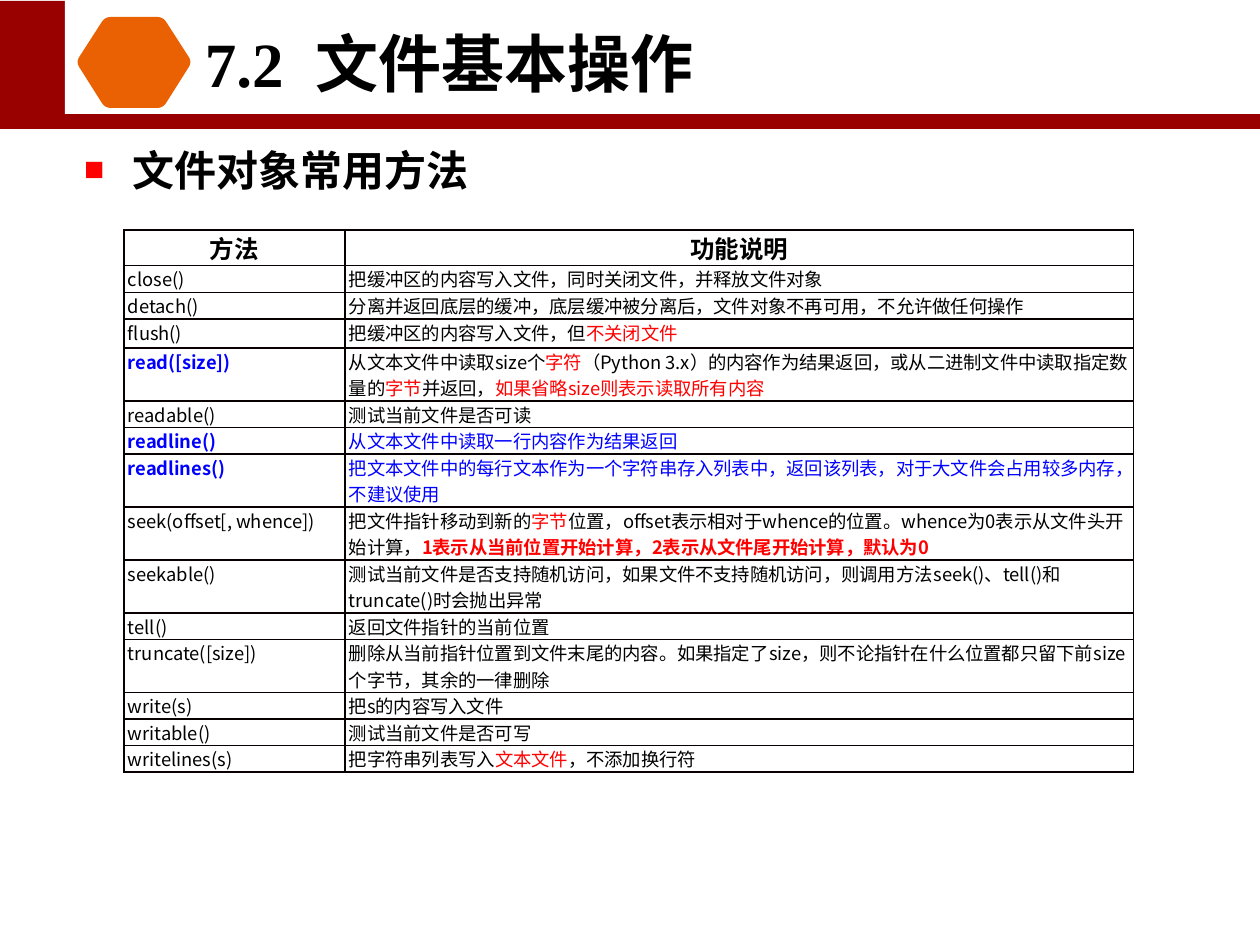
from lxml.etree import SubElement
from pptx import Presentation
from pptx.dml.color import RGBColor
from pptx.enum.shapes import MSO_SHAPE
from pptx.enum.text import MSO_ANCHOR, PP_ALIGN
from pptx.oxml.ns import qn
from pptx.util import Emu, Pt

PX = 914400 // 126
DARK_RED = RGBColor(0x99, 0x00, 0x00)
ORANGE = RGBColor(0xEA, 0x61, 0x03)
WHITE = RGBColor(0xFF, 0xFF, 0xFF)
BLACK = RGBColor(0x00, 0x00, 0x00)
RED = RGBColor(0xFF, 0x00, 0x00)
BLUE = RGBColor(0x00, 0x00, 0xFF)
BORDER = RGBColor(0x08, 0x00, 0x00)
SERIF = "Times New Roman"
SANS = "Noto Sans CJK SC"

# Text styles as (colour, bold)
PLAIN, STRONG = (BLACK, False), (BLACK, True)
MARKED, MARKED_STRONG = (RED, False), (RED, True)
KEY, KEY_STRONG = (BLUE, False), (BLUE, True)

COLUMN_WIDTHS = (221, 789)
HEADER_HEIGHT = 21
# Row height, method and its style, then the runs of the description
METHODS = [
    (21, "close()", PLAIN, [("把缓冲区的内容写入文件，同时关闭文件，并释放文件对象", PLAIN)]),
    (26, "detach()", PLAIN,
     [("分离并返回底层的缓冲，底层缓冲被分离后，文件对象不再可用，不允许做任何操作", PLAIN)]),
    (29, "flush()", PLAIN, [("把缓冲区的内容写入文件，但", PLAIN), ("不关闭文件", MARKED)]),
    (44, "read([size])", KEY_STRONG,
     [("从文本文件中读取size个", PLAIN), ("字符", MARKED),
      ("（Python 3.x）的内容作为结果返回，或从二进制文件中读取指定数量的", PLAIN),
      ("字节", MARKED), ("并返回，", PLAIN), ("如果省略size则表示读取所有内容", MARKED)]),
    (21, "readable()", PLAIN, [("测试当前文件是否可读", PLAIN)]),
    (21, "readline()", KEY_STRONG, [("从文本文件中读取一行内容作为结果返回", KEY)]),
    (44, "readlines()", KEY_STRONG,
     [("把文本文件中的每行文本作为一个字符串存入列表中，返回该列表，"
       "对于大文件会占用较多内存，不建议使用", KEY)]),
    (52, "seek(offset[, whence])", PLAIN,
     [("把文件指针移动到新的", PLAIN), ("字节", MARKED),
      ("位置，offset表示相对于whence的位置。whence为0表示从文件头开始计算，", PLAIN),
      ("1表示从当前位置开始计算，2表示从文件尾开始计算，默认为0", MARKED_STRONG)]),
    (44, "seekable()", PLAIN,
     [("测试当前文件是否支持随机访问，如果文件不支持随机访问，"
       "则调用方法seek()、tell()和truncate()时会抛出异常", PLAIN)]),
    (21, "tell()", PLAIN, [("返回文件指针的当前位置", PLAIN)]),
    (44, "truncate([size])", PLAIN,
     [("删除从当前指针位置到文件末尾的内容。如果指定了size，"
       "则不论指针在什么位置都只留下前size个字节，其余的一律删除", PLAIN)]),
    (21, "write(s)", PLAIN, [("把s的内容写入文件", PLAIN)]),
    (21, "writable()", PLAIN, [("测试当前文件是否可写", PLAIN)]),
    (21, "writelines(s)", PLAIN,
     [("把字符串列表写入", PLAIN), ("文本文件", MARKED), ("，不添加换行符", PLAIN)]),
]


def px(*lengths):
    return [Emu(length * PX) for length in lengths]


def place(shape, *box):
    shape.left, shape.top, shape.width, shape.height = px(*box)


def format_span(span, font, size, style):
    span.font.name = font
    span.font.size = Pt(size)
    span.font.color.rgb, span.font.bold = style


def paint(shape, colour):
    shape.shadow.inherit = False
    shape.fill.solid()
    shape.fill.fore_color.rgb = colour
    shape.line.fill.background()


def add_bar(page, colour, *box):
    paint(page.shapes.add_shape(MSO_SHAPE.RECTANGLE, *px(*box)), colour)


def add_rounded_polygon(page, corners, radius, colour, steps=6):
    """Round each corner with a short quadratic curve."""
    points = []
    for index, (x, y) in enumerate(corners):
        ends = []
        for near_x, near_y in (corners[index - 1], corners[(index + 1) % len(corners)]):
            share = radius / ((near_x - x) ** 2 + (near_y - y) ** 2) ** 0.5
            ends.append((x + (near_x - x) * share, y + (near_y - y) * share))
        (start_x, start_y), (end_x, end_y) = ends
        for step in range(steps + 1):
            t = step / steps
            a, b, c = (1 - t) ** 2, 2 * t * (1 - t), t * t
            points.append((round((a * start_x + b * x + c * end_x) * PX),
                           round((a * start_y + b * y + c * end_y) * PX)))
    builder = page.shapes.build_freeform(*points[0], scale=1.0)
    builder.add_line_segments(points[1:], close=True)
    paint(builder.convert_to_shape(), colour)


def fill_title(page, text):
    title = page.shapes.title
    place(title, 20, 18, 858, 89)
    title.text_frame.text = text
    title.text_frame.vertical_anchor = MSO_ANCHOR.MIDDLE
    para = title.text_frame.paragraphs[0]
    para.alignment = PP_ALIGN.CENTER
    format_span(para.runs[0], SERIF, 36, STRONG)
    # Bring the title in front of the header bars
    page.shapes.element.append(title.element)


def fill_body(page, text):
    body = page.placeholders[1]
    place(body, 74, 139, 1134, 645)
    frame = body.text_frame
    frame.margin_left, frame.margin_right, frame.margin_top, frame.margin_bottom = px(10, 10, 5, 5)
    frame.text = text
    para = frame.paragraphs[0]
    para.space_before = Pt(5)
    format_span(para.runs[0], SERIF, 24, STRONG)
    properties = para._p.get_or_add_pPr()
    properties.set("marL", str(48 * PX))
    properties.set("indent", str(-48 * PX))
    colour = SubElement(properties, qn("a:buClr"))
    SubElement(colour, qn("a:srgbClr"), val=str(RED))
    SubElement(properties, qn("a:buSzPct"), val="80000")
    SubElement(properties, qn("a:buChar"), char="■")


def set_border(cell, side, colour, width):
    line = SubElement(cell._tc.get_or_add_tcPr(), qn("a:ln" + side), w=str(Pt(width)))
    fill = SubElement(line, qn("a:solidFill"))
    SubElement(fill, qn("a:srgbClr"), val=str(colour))


def fill_cell(cell, spans, size, alignment, indent, last_column):
    cell.margin_left, cell.margin_right, cell.margin_top, cell.margin_bottom = px(indent, 0, 0, 0)
    para = cell.text_frame.paragraphs[0]
    para.alignment = alignment
    for text, style in spans:
        span = para.add_run()
        span.text = text
        format_span(span, SANS, size, style)
    for side in "LRTB":
        outer = last_column and side == "R"
        set_border(cell, side, BLACK if outer else BORDER, 0.75 if outer else 1)
    cell.fill.background()


def add_method_table(page):
    rows = [(HEADER_HEIGHT, [("方法", STRONG)], [("功能说明", STRONG)])]
    rows += [(height, [(name, style)], spans) for height, name, style, spans in METHODS]
    total = sum(row[0] for row in rows)
    table = page.shapes.add_table(
        len(rows), 2, *px(124, 230, sum(COLUMN_WIDTHS), total)).table
    table.first_row = table.horz_banding = False
    for column, width in zip(table.columns, COLUMN_WIDTHS):
        column.width = Emu(width * PX)
    for index, (height, *cells) in enumerate(rows):
        table.rows[index].height = Emu(height * PX)
        size, alignment, indent = (10.5, PP_ALIGN.LEFT, 4) if index else (14, PP_ALIGN.CENTER, 0)
        for column, spans in enumerate(cells):
            fill_cell(table.cell(index, column), spans, size, alignment, indent, column == 1)


def main():
    deck = Presentation()
    deck.slide_width, deck.slide_height = px(1260, 945)
    page = deck.slides.add_slide(deck.slide_layouts[1])

    # Header band and hexagon
    add_bar(page, DARK_RED, 0, 1, 1260, 128)
    add_bar(page, WHITE, 65, 0, 1195, 114)
    hexagon = [(76, 62), (105, 17), (163, 17), (192, 62), (163, 108), (105, 108)]
    add_rounded_polygon(page, hexagon, 6, ORANGE)

    # Heading, topic and method table
    fill_title(page, "7.2  文件基本操作")
    fill_body(page, "文件对象常用方法")
    add_method_table(page)
    deck.save("out.pptx")


if __name__ == "__main__":
    main()
